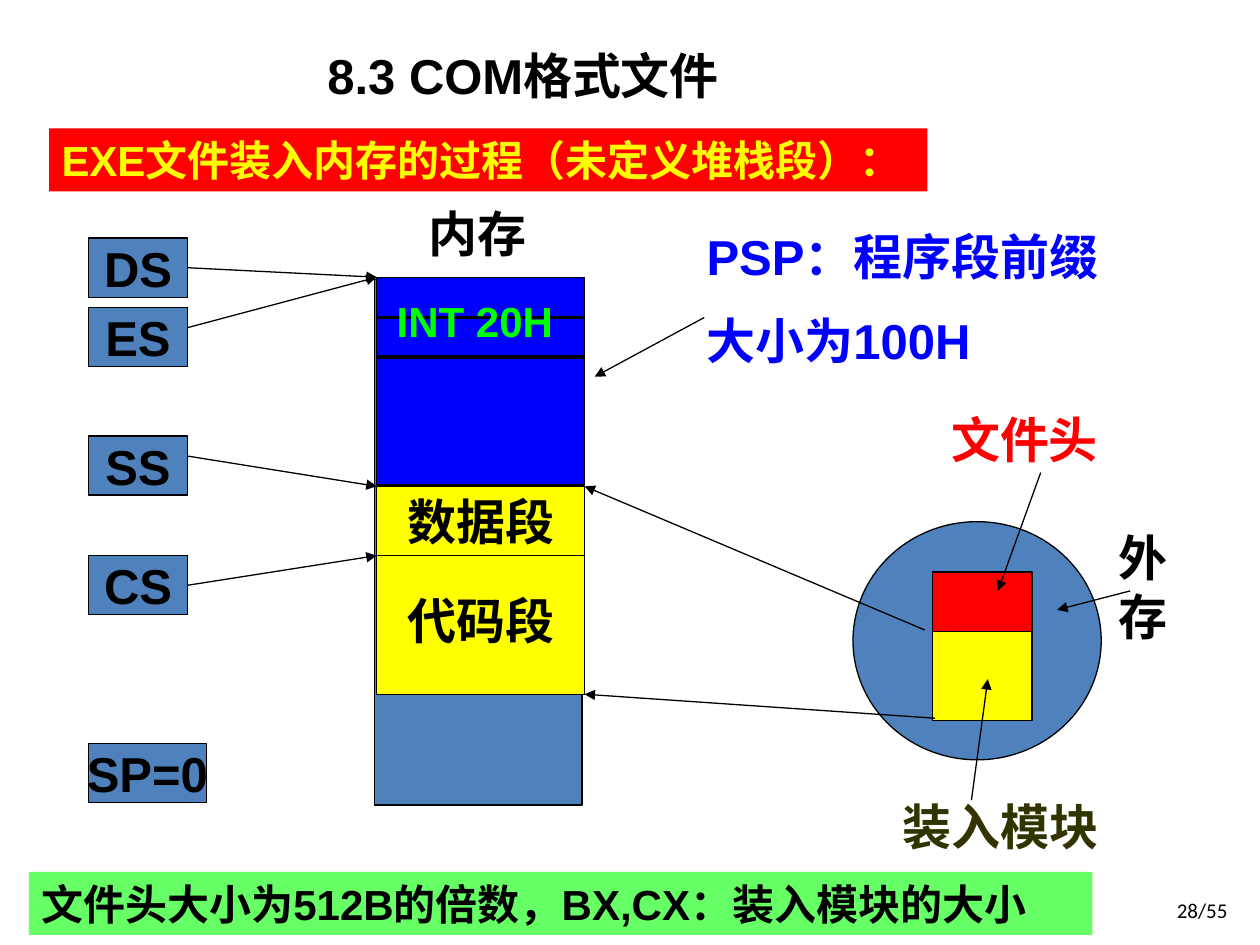
import pptx
import pptx.util
import pptx.dml.color
import pptx.enum.shapes
import pptx.enum.text
import pptx.oxml.ns
import lxml.etree

Inches = pptx.util.Inches
Pt = pptx.util.Pt
RGBColor = pptx.dml.color.RGBColor
MSO_SHAPE = pptx.enum.shapes.MSO_SHAPE
PP_ALIGN = pptx.enum.text.PP_ALIGN
MSO_ANCHOR = pptx.enum.text.MSO_ANCHOR
qn = pptx.oxml.ns.qn

BLACK = RGBColor(0x00, 0x00, 0x00)
WHITE = RGBColor(0xFF, 0xFF, 0xFF)
RED = RGBColor(0xFF, 0x00, 0x00)
YELLOW = RGBColor(0xFF, 0xFF, 0x00)
BLUE = RGBColor(0x00, 0x00, 0xFF)
LIME = RGBColor(0x00, 0xFF, 0x00)
GREEN = RGBColor(0x66, 0xFF, 0x66)
STEEL = RGBColor(0x4F, 0x81, 0xBD)
OLIVE = RGBColor(0x33, 0x33, 0x00)

TOP, MIDDLE = MSO_ANCHOR.TOP, MSO_ANCHOR.MIDDLE
LEFT, CENTER, RIGHT = PP_ALIGN.LEFT, PP_ALIGN.CENTER, PP_ALIGN.RIGHT


class Canvas:
    def __init__(self, slide, font="Arial", size=28):
        self.slide = slide
        self.font = font
        self.size = size

    def set_text(self, sp, text, color, size=None, align=LEFT, anchor=TOP,
                 wrap=True, font=None, bold=True, spacing=None):
        tf = sp.text_frame
        tf.word_wrap = wrap
        tf.vertical_anchor = anchor
        for i, line in enumerate(text.split("\n")):
            p = tf.add_paragraph() if i else tf.paragraphs[0]
            p.text = line
            p.alignment = align
            if i:
                p.space_before = Pt(14)
            if spacing:
                p.line_spacing = spacing
            p.font.name = font or self.font
            p.font.size = Pt(size or self.size)
            p.font.bold = bold
            p.font.color.rgb = color

    def label(self, at, text, color=BLACK, **style):
        sp = self.slide.shapes.add_textbox(*map(Inches, at))
        self.set_text(sp, text, color, **style)

    def shape(self, at, fill, outlined=True, kind=MSO_SHAPE.RECTANGLE):
        sp = self.slide.shapes.add_shape(kind, *map(Inches, at))
        sp.shadow.inherit = False
        sp.fill.solid()
        sp.fill.fore_color.rgb = fill
        if outlined:
            sp.line.color.rgb = BLACK
            sp.line.width = Pt(0.75)
        else:
            sp.line.fill.background()
        return sp

    def banner(self, at, fill, text, color, **style):
        sp = self.shape(at, fill, outlined=False)
        self.set_text(sp, text, color, **style)

    def block(self, at, fill, text, spacing=None):
        sp = self.shape(at, fill)
        self.set_text(sp, text, BLACK, align=CENTER, anchor=MIDDLE,
                      wrap=False, spacing=spacing)
        return sp

    def line(self, start, end, width=0.75):
        cx = self.slide.shapes.add_connector(
            pptx.enum.shapes.MSO_CONNECTOR.STRAIGHT,
            *map(Inches, start + end))
        cx.line.color.rgb = BLACK
        cx.line.width = Pt(width)
        lxml.etree.SubElement(cx._element.spPr, qn("a:effectLst"))
        return cx

    def arrow(self, start, end, source=None):
        cx = self.line(start, end)
        if source is not None:
            cx.begin_connect(source, 3)
        ln = cx._element.spPr.find(qn("a:ln"))
        lxml.etree.SubElement(ln, qn("a:tailEnd"), type="triangle")


def main():
    prs = pptx.Presentation()
    prs.slide_width = Inches(10)
    prs.slide_height = Inches(7.5)
    c = Canvas(prs.slides.add_slide(prs.slide_layouts[6]))

    c.label((2.5, 0.31, 3.45, 0.57), "8.3 COM格式文件", wrap=False)
    c.banner((0.39, 1.02, 6.97, 0.5), RED,
             "EXE文件装入内存的过程（未定义堆栈段）：", YELLOW, size=24)

    mem_left, mem_width = 2.99, 1.65
    mem_right = mem_left + mem_width
    psp_top, data_top, code_top, code_end = 2.2, 3.86, 4.41, 5.51
    c.shape((2.97, 2.22, mem_width, 4.17), STEEL)
    c.shape((mem_left, psp_top, mem_width, 1.65), BLUE)
    c.block((mem_left, data_top, mem_width, code_end - data_top), YELLOW,
            "代码段", spacing=2.0)
    for y in (2.52, 2.83):
        c.line((mem_left, y), (mem_right, y), 2.25)
    c.label((3.05, 2.3, 1.57, 0.5), "INT 20H", LIME, size=24)
    c.block((mem_left, data_top, mem_width, code_top - data_top), YELLOW,
            "数据段")

    registers = {}
    for name, top, width in (("DS", 1.89, 0.79), ("ES", 2.44, 0.79),
                             ("SS", 3.46, 0.79), ("CS", 4.41, 0.79),
                             ("SP=0", 5.9, 0.94)):
        registers[name] = c.block((0.7, top, width, 0.47), STEEL, name)
    c.arrow((1.49, 2.13), (mem_left, psp_top), registers["DS"])
    c.arrow((1.49, 2.6), (mem_left, psp_top))
    c.arrow((1.49, 3.62), (mem_left, data_top))
    c.arrow((1.49, 4.65), (mem_left, code_top), registers["CS"])

    c.label((3.3, 1.57, 1.1, 0.57), "内存")
    c.label((5.51, 1.75, 3.74, 1.28), "PSP：程序段前缀\n大小为100H", BLUE)
    c.arrow((5.59, 2.52), (4.72, 2.99))

    c.shape((6.77, 4.14, 1.97, 1.89), STEEL, kind=MSO_SHAPE.OVAL)
    c.shape((7.4, 5.01, 0.79, 0.71), YELLOW)
    c.shape((7.4, 4.54, 0.79, 0.47), RED)
    c.label((7.45, 3.2, 1.91, 0.57), "文件头", RED)
    c.arrow((8.26, 3.75), (7.92, 4.69))
    c.banner((6.83, 6.27, 2.22, 0.57), WHITE, "装入模块", OLIVE, align=CENTER)
    c.arrow((7.71, 6.35), (7.84, 5.39))
    c.label((8.78, 4.14, 0.55, 1.04), "外存")
    c.arrow((8.97, 4.69), (8.39, 4.84))
    c.arrow((7.34, 5), (mem_right, data_top))
    c.arrow((7.42, 5.7), (mem_right, code_end))

    c.label((8.99, 7.02, 0.85, 0.4), "28/55", size=12, align=RIGHT,
            anchor=MIDDLE, font="Calibri", bold=False)
    c.banner((0.23, 6.92, 8.44, 0.5), GREEN,
             "文件头大小为512B的倍数，BX,CX：装入模块的大小", BLACK, size=24)

    prs.save("out.pptx")


if __name__ == "__main__":
    main()
